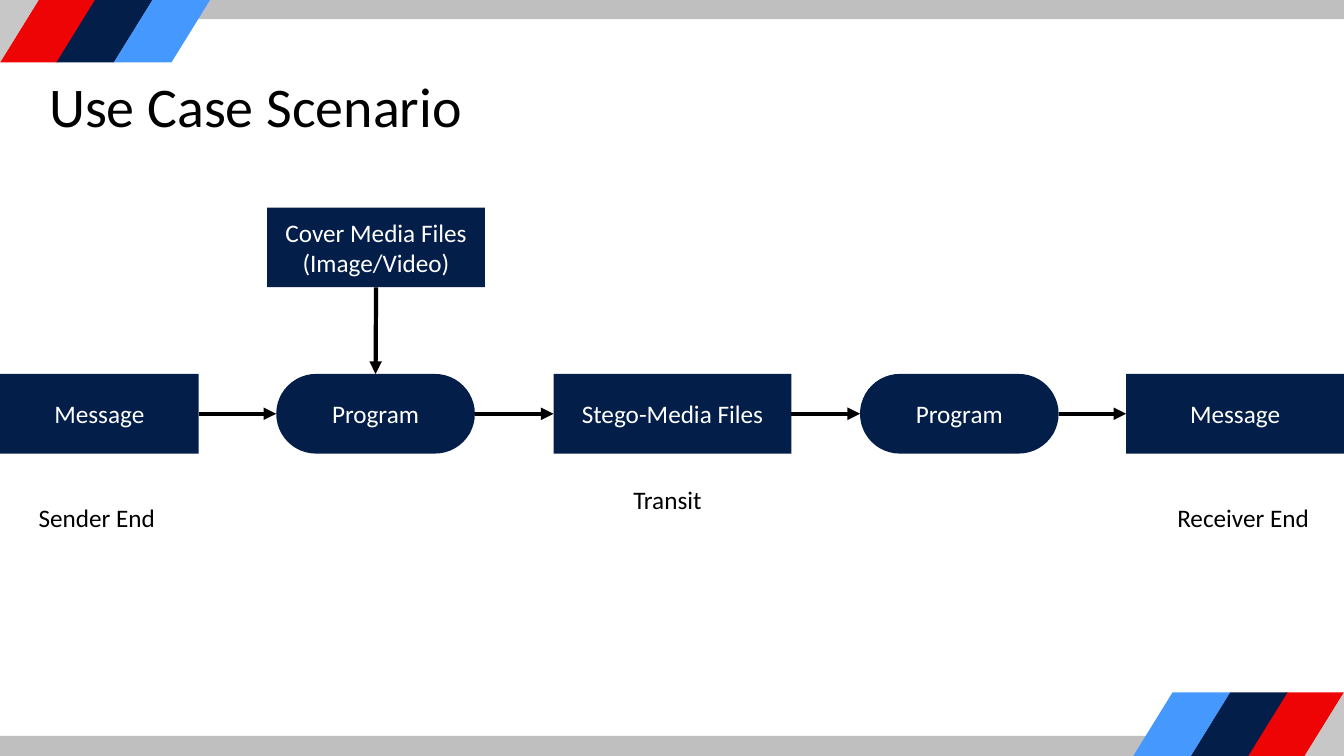
from lxml import etree
from pptx import Presentation
from pptx.dml.color import RGBColor
from pptx.enum.shapes import MSO_CONNECTOR, MSO_SHAPE
from pptx.enum.text import MSO_ANCHOR, MSO_AUTO_SIZE, PP_ALIGN
from pptx.oxml.ns import qn
from pptx.util import Inches, Pt

RECTANGLE = MSO_SHAPE.RECTANGLE
ROUNDED = MSO_SHAPE.ROUNDED_RECTANGLE
PARALLELOGRAM = MSO_SHAPE.PARALLELOGRAM
TRIANGLE = MSO_SHAPE.RIGHT_TRIANGLE
STRAIGHT = MSO_CONNECTOR.STRAIGHT
MIDDLE = MSO_ANCHOR.MIDDLE
GROW = MSO_AUTO_SIZE.SHAPE_TO_FIT_TEXT
LEFT, CENTER = PP_ALIGN.LEFT, PP_ALIGN.CENTER
TOP_SIDE, LEFT_SIDE, BOTTOM_SIDE, RIGHT_SIDE = range(4)

SLIDE_WIDTH, SLIDE_HEIGHT = 13.33, 7.5
FONT = "Calibri"
COLORS = {
    "navy": "031E49", "red": "EE0405", "blue": "4599FE", "bar": "BFBFBF",
    "corner": "C7C7C7", "black": "000000", "white": "FFFFFF",
}

CORNER_PARTS = [
    (RECTANGLE, 0, 7.3, 11.81, 0.2, "bar"),
    (PARALLELOGRAM, 12.37, 6.87, 0.96, 0.63, "red"),
    (TRIANGLE, 12.94, 6.87, 0.39, 0.63, "corner"),
    (PARALLELOGRAM, 11.81, 6.87, 0.96, 0.63, "navy"),
    (PARALLELOGRAM, 11.24, 6.87, 0.96, 0.63, "blue"),
]
STRIPE_SLANT = 0.618
TOP_SHIFT = -0.01

STEP_TOP, STEP_HEIGHT = 3.71, 0.79
STEPS = [
    ("Message", RECTANGLE, 0, 1.97),
    ("Program", ROUNDED, 2.74, 1.97),
    ("Stego-Media Files", RECTANGLE, 5.49, 2.36),
    ("Program", ROUNDED, 8.53, 1.97),
    ("Message", RECTANGLE, 11.17, 2.16),
]
COVER = ("Cover Media Files (Image/Video)", RECTANGLE, 2.65, 2.16)
COVER_TOP = 2.06

LABELS = [
    ("Use Case Scenario", 0.39, 0.66, 5.23, 0.77, 40, LEFT),
    ("Sender End", 0.23, 4.93, 1.46, 0.4, 18, CENTER),
    ("Receiver End", 11.56, 4.93, 1.54, 0.4, 18, CENTER),
    ("Transit", 5.85, 4.76, 1.54, 0.4, 18, CENTER),
]


def color(name):
    return RGBColor.from_string(COLORS[name])


def add_filled(slide, kind, left, top, width, height, fill):
    shape = slide.shapes.add_shape(
        kind, Inches(left), Inches(top), Inches(width), Inches(height))
    shape.shadow.inherit = False
    shape.fill.solid()
    shape.fill.fore_color.rgb = color(fill)
    shape.line.fill.background()
    return shape


def write(shape, text, size, font_color, alignment):
    frame = shape.text_frame
    frame.word_wrap = True
    frame.text = text
    paragraph = frame.paragraphs[0]
    paragraph.alignment = alignment
    font = paragraph.runs[0].font
    font.name = FONT
    font.size = Pt(size)
    font.color.rgb = color(font_color)


def add_corner(slide, at_top):
    for kind, left, top, width, height, fill in CORNER_PARTS:
        if at_top:
            left = SLIDE_WIDTH - left - width
            top = SLIDE_HEIGHT - top - height + TOP_SHIFT
        shape = add_filled(slide, kind, left, top, width, height, fill)
        if kind == PARALLELOGRAM:
            shape.adjustments[0] = STRIPE_SLANT
        elif kind == TRIANGLE:
            shape._element.spPr.xfrm.set("flipV" if at_top else "flipH", "1")


def add_box(slide, text, kind, left, width, top):
    shape = add_filled(slide, kind, left, top, width, STEP_HEIGHT, "navy")
    if kind == ROUNDED:
        shape.adjustments[0] = 0.5
    shape.text_frame.vertical_anchor = MIDDLE
    write(shape, text, 18, "white", CENTER)
    return shape


def add_arrow(slide, source, source_side, target, target_side):
    arrow = slide.shapes.add_connector(STRAIGHT, 0, 0, 0, 0)
    arrow.begin_connect(source, source_side)
    arrow.end_connect(target, target_side)
    arrow.line.color.rgb = color("black")
    arrow.line.width = Pt(3)
    etree.SubElement(arrow.line._get_or_add_ln(), qn("a:tailEnd"), type="triangle")
    etree.SubElement(arrow._element.spPr, qn("a:effectLst"))


def add_label(slide, text, left, top, width, height, size, alignment):
    label = slide.shapes.add_textbox(
        Inches(left), Inches(top), Inches(width), Inches(height))
    write(label, text, size, "black", alignment)
    label.text_frame.auto_size = GROW


def main():
    presentation = Presentation()
    presentation.slide_width = Inches(SLIDE_WIDTH)
    presentation.slide_height = Inches(SLIDE_HEIGHT)
    slide = presentation.slides.add_slide(presentation.slide_layouts[6])

    for at_top in (False, True):
        add_corner(slide, at_top)

    steps = [add_box(slide, *step, STEP_TOP) for step in STEPS]
    cover = add_box(slide, *COVER, COVER_TOP)
    for source, target in zip(steps, steps[1:]):
        add_arrow(slide, source, RIGHT_SIDE, target, LEFT_SIDE)
    add_arrow(slide, cover, BOTTOM_SIDE, steps[1], TOP_SIDE)

    for label in LABELS:
        add_label(slide, *label)
    presentation.save("out.pptx")


if __name__ == "__main__":
    main()
